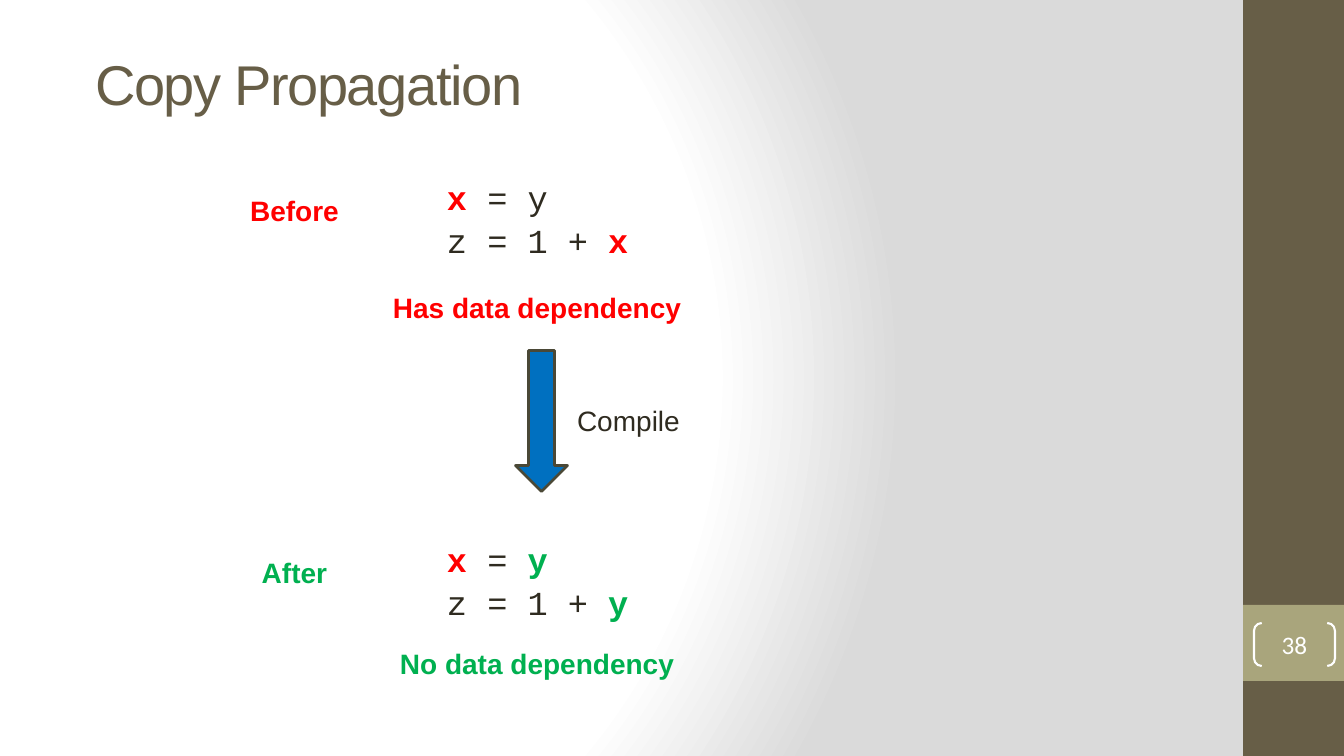
from dataclasses import dataclass
from typing import Any

from lxml.etree import fromstring
from pptx import Presentation
from pptx.dml.color import RGBColor
from pptx.enum.shapes import MSO_SHAPE
from pptx.enum.text import MSO_ANCHOR, MSO_AUTO_SIZE, PP_ALIGN
from pptx.util import Emu, Pt

PX_PER_INCH = 100.8
DRAWING_NAMESPACE = "http://schemas.openxmlformats.org/drawingml/2006/main"


@dataclass(frozen=True)
class Theme:
    brown: str = "675E47"
    sand: str = "A9A57C"
    white: str = "FFFFFF"
    grey: str = "DADADA"
    ink: str = "2F2B20"
    red: str = "FF0000"
    green: str = "00B050"
    blue: str = "0070C0"
    outline: str = "4A4836"
    sans: str = "Arial"
    number_font: str = "Calibri"
    mono: str = "Courier New"
    title_size: int = 40
    code_size: int = 24
    label_size: int = 20
    number_size: int = 18


THEME = Theme()


@dataclass(frozen=True)
class Box:
    left: int
    top: int
    width: int
    height: int


@dataclass(frozen=True)
class Span:
    text: str
    color: str = THEME.ink
    bold: bool = False
    font: str = THEME.sans
    size: int = THEME.label_size


@dataclass(frozen=True)
class Stage:
    label: str
    verdict: str
    color: str
    code_top: int
    verdict_top: int
    code: tuple[tuple[Span, ...], ...]


def code_span(text: str, color: str = THEME.ink) -> Span:
    return Span(text, color, color != THEME.ink, THEME.mono, THEME.code_size)


STAGES = (
    Stage("Before", "Has data dependency ", THEME.red, 172, 286, (
        (code_span("x", THEME.red), code_span(" = y")),
        (code_span("z = 1 + "), code_span("x", THEME.red)),
    )),
    Stage("After", "No data dependency ", THEME.green, 534, 642, (
        (code_span("x", THEME.red), code_span(" = "), code_span("y", THEME.green)),
        (code_span("z = 1 + "), code_span("y", THEME.green)),
    )),
)


def px(length: int) -> Emu:
    return Emu(round(length * 914400 / PX_PER_INCH))


def apply_format(target: Any, values: dict[str, Any]) -> None:
    for name, value in values.items():
        setattr(target, name, value)


def place(box: Box) -> tuple[Emu, Emu, Emu, Emu]:
    return px(box.left), px(box.top), px(box.width), px(box.height)


def write_span(para: Any, span: Span) -> Any:
    run = para.add_run()
    run.text = span.text
    apply_format(run.font, {"name": span.font, "size": Pt(span.size), "bold": span.bold})
    run.font.color.rgb = RGBColor.from_string(span.color)
    return run


def add_text(page: Any, box: Box, lines: tuple[tuple[Span, ...], ...],
             alignment: PP_ALIGN = PP_ALIGN.CENTER, indent: int = 0) -> None:
    frame = page.shapes.add_textbox(*place(box)).text_frame
    apply_format(frame, {"word_wrap": True, "auto_size": MSO_AUTO_SIZE.SHAPE_TO_FIT_TEXT})
    for index, line in enumerate(lines):
        para = frame.add_paragraph() if index else frame.paragraphs[0]
        apply_format(para, {"alignment": alignment, "space_before": Pt(2)})
        if indent:
            para.level = 1
            properties = para._p.get_or_add_pPr()
            properties.set("marL", str(px(indent)))
            properties.set("indent", "0")
        for span in line:
            write_span(para, span)


def add_figure(page: Any, preset: MSO_SHAPE, box: Box, fill: str = "",
               line: str = "", line_width: float = 0) -> Any:
    figure = page.shapes.add_shape(preset, *place(box))
    figure.shadow.inherit = False
    if fill:
        figure.fill.solid()
        figure.fill.fore_color.rgb = RGBColor.from_string(fill)
    else:
        figure.fill.background()
    if line:
        figure.line.color.rgb = RGBColor.from_string(line)
        figure.line.width = Pt(line_width)
    else:
        figure.line.fill.background()
    return figure


def paint_background(page: Any) -> None:
    fill = page.background.fill
    fill.solid()
    solid = page.element.find(".//{%s}solidFill" % DRAWING_NAMESPACE)
    stops = "".join(
        f'<a:gs pos="{position * 1000}"><a:srgbClr val="{color}"/></a:gs>'
        for position, color in ((0, THEME.white), (75, THEME.white), (100, THEME.grey))
    )
    gradient = fromstring(
        f'<a:gradFill xmlns:a="{DRAWING_NAMESPACE}" rotWithShape="1"><a:gsLst>{stops}</a:gsLst>'
        '<a:path path="circle"><a:fillToRect l="20000" t="50000" r="100000" b="50000"/></a:path>'
        "</a:gradFill>"
    )
    solid.getparent().replace(solid, gradient)


def write_title(page: Any, text: str) -> None:
    title = page.shapes.title
    left, top, width, height = place(Box(85, 61, 1099, 45))
    apply_format(title, {"left": left, "top": top, "width": width, "height": height})
    apply_format(title.text_frame, {
        "word_wrap": True,
        "auto_size": MSO_AUTO_SIZE.NONE,
        "vertical_anchor": MSO_ANCHOR.MIDDLE,
    })
    para = title.text_frame.paragraphs[0]
    para.alignment = PP_ALIGN.LEFT
    run = write_span(para, Span(text, THEME.brown, size=THEME.title_size))
    run.font._element.set("spc", "-100")


def add_page_number(page: Any, number: str) -> None:
    bracket = add_figure(page, MSO_SHAPE.DOUBLE_BRACKET, Box(1254, 623, 81, 43),
                         line=THEME.white, line_width=1.5)
    bracket.adjustments[0] = 0.18
    frame = bracket.text_frame
    apply_format(frame, {
        "margin_left": 0, "margin_top": 0, "margin_right": 0, "margin_bottom": 0,
        "vertical_anchor": MSO_ANCHOR.MIDDLE,
    })
    para = frame.paragraphs[0]
    para.alignment = PP_ALIGN.CENTER
    write_span(para, Span(number, THEME.white, font=THEME.number_font, size=THEME.number_size))


def add_stage(page: Any, stage: Stage) -> None:
    add_text(page, Box(392, stage.code_top, 351, 92), stage.code, PP_ALIGN.JUSTIFY, 45)
    add_text(page, Box(207, stage.code_top + 17, 175, 44),
             ((Span(stage.label, stage.color, True),),))
    add_text(page, Box(307, stage.verdict_top, 468, 44),
             ((Span(stage.verdict, stage.color, True),),))


def main() -> None:
    deck = Presentation()
    apply_format(deck, {"slide_width": px(1344), "slide_height": px(756)})
    page = deck.slides.add_slide(deck.slide_layouts[5])
    paint_background(page)
    write_title(page, "Copy Propagation")
    add_figure(page, MSO_SHAPE.RECTANGLE, Box(1243, 0, 101, 756), THEME.brown)
    add_figure(page, MSO_SHAPE.RECTANGLE, Box(1243, 605, 101, 76), THEME.sand)
    add_page_number(page, "38")
    for stage in STAGES:
        add_stage(page, stage)
    arrow = add_figure(page, MSO_SHAPE.RIGHT_ARROW, Box(471, 395, 141, 52),
                       THEME.blue, THEME.outline, 2)
    arrow.rotation = 90
    add_text(page, Box(541, 399, 175, 44), ((Span("Compile"),),))
    deck.save("out.pptx")


if __name__ == "__main__":
    main()
